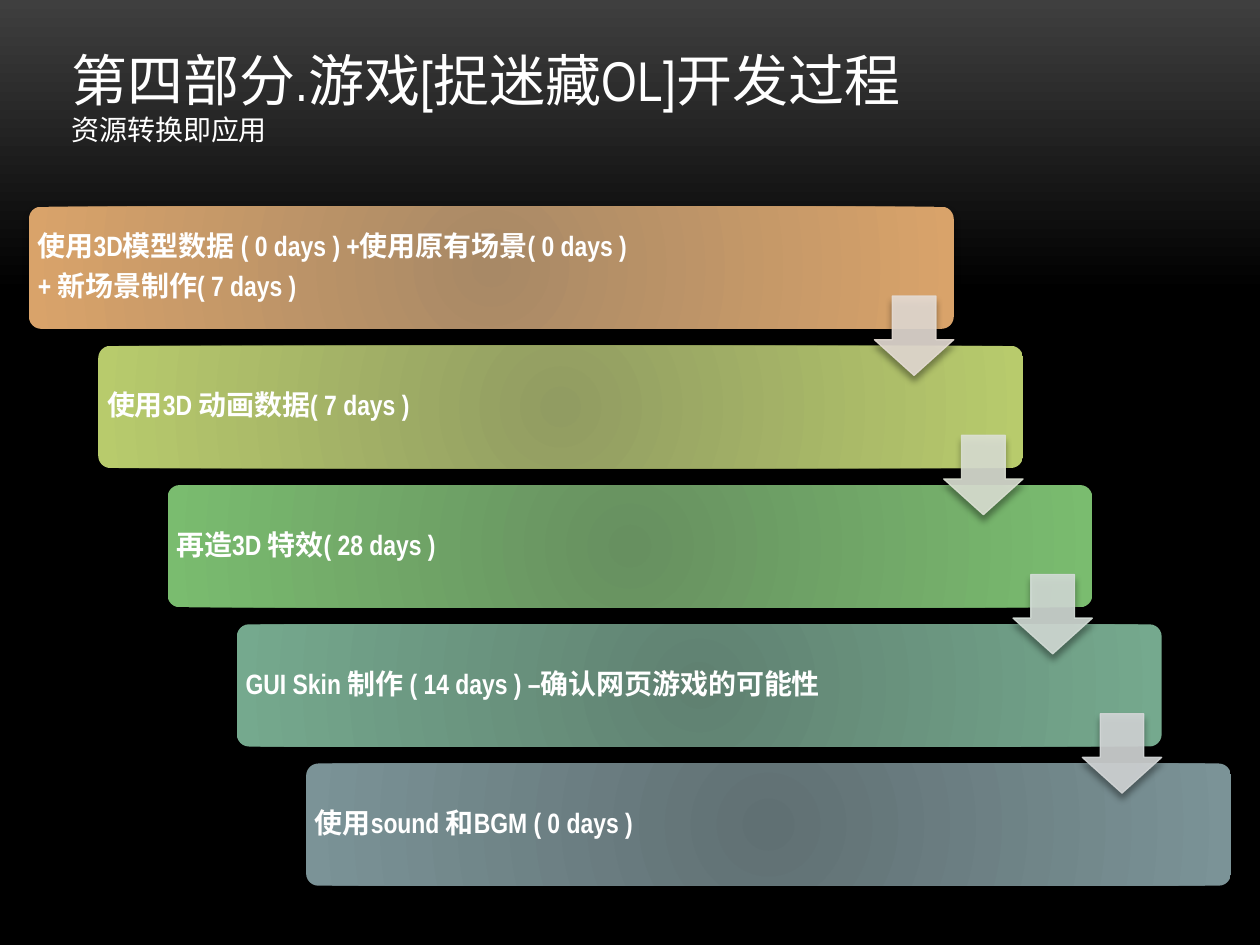
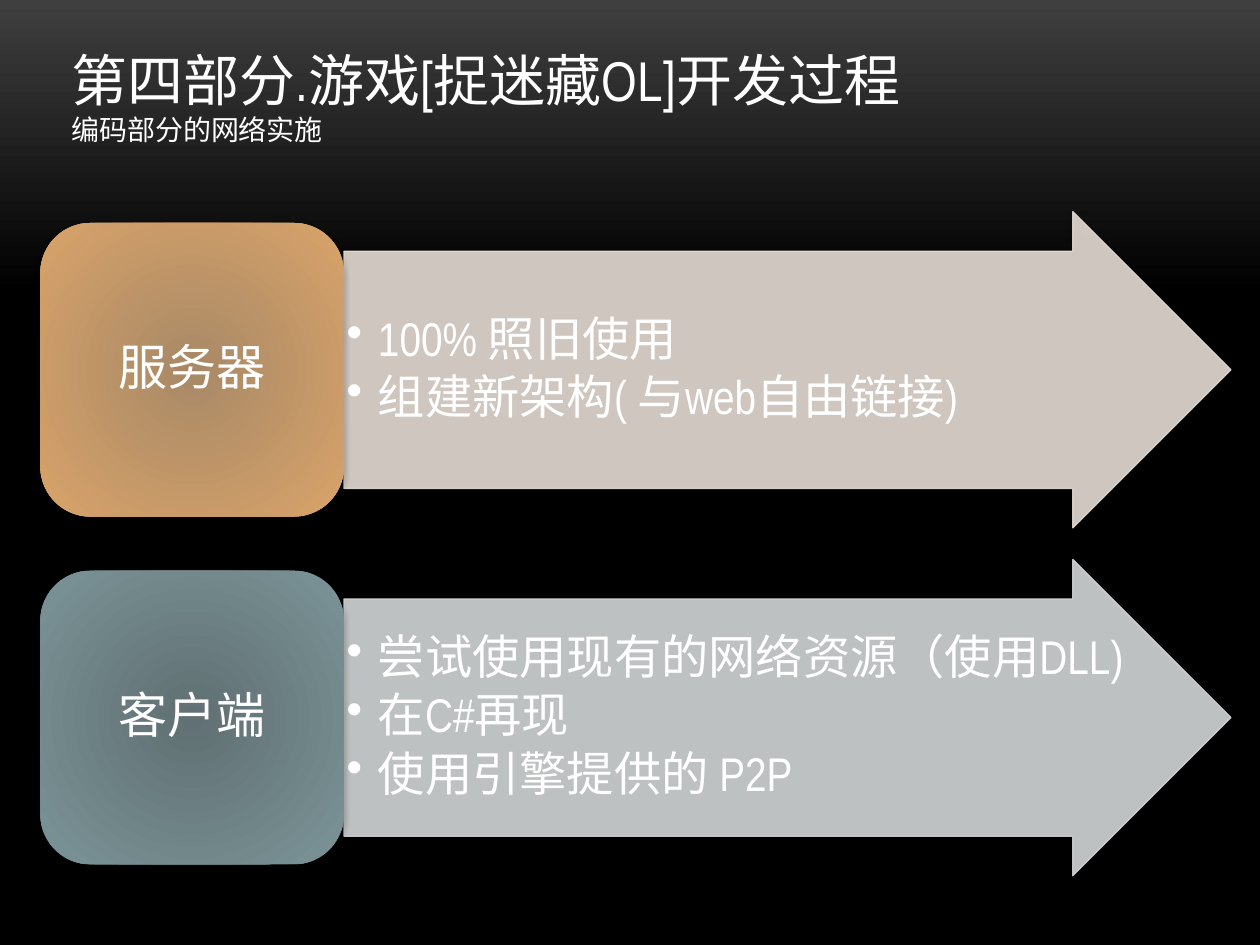
from collections import namedtuple
from dataclasses import dataclass
from itertools import cycle

from lxml.etree import SubElement as Sub
from pptx import Presentation
from pptx.dml.color import RGBColor as RGB
from pptx.enum.shapes import MSO_SHAPE as Kind
from pptx.enum.text import MSO_ANCHOR as Anchor, MSO_AUTO_SIZE as Auto, PP_ALIGN as Align
from pptx.oxml.ns import qn
from pptx.util import Inches, Pt

Box = namedtuple("Box", "x y w h")
Tone = namedtuple("Tone", "core edge pale")


@dataclass(frozen=True)
class Theme:
    """Colours, font and type sizes of the deck."""
    font: str = "Arial Narrow"
    ink: str = "FFFFFF"
    shade: str = "000000"
    back: tuple = ((0, "3F3F3F"), (31, "000000"), (100, "000000"))
    head: int = 32
    sub: int = 16
    step: int = 16
    label: int = 28
    point: int = 27
    orange: Tone = Tone("A88966", "D9A36A", "E5DCD4")
    lime: Tone = Tone("919C62", "B8CB6C", "DCE1D4")
    green: Tone = Tone("679060", "7ABC6F", "D3DCD6")
    teal: Tone = Tone("608171", "75A98E", "D3D6D7")
    slate: Tone = Tone("607073", "7B9397", "D3D6D7")


THEME = Theme()
TITLE = "第四部分.游戏[捉迷藏OL]开发过程"
STEPS = [
    (THEME.orange, ["使用3D模型数据 ( 0 days ) +使用原有场景( 0 days )", "+ 新场景制作( 7 days )"]),
    (THEME.lime, ["使用3D 动画数据( 7 days )"]),
    (THEME.green, ["再造3D 特效( 28 days )"]),
    (THEME.teal, ["GUI Skin 制作 ( 14 days ) –确认网页游戏的可能性"]),
    (THEME.slate, ["使用sound 和BGM ( 0 days )"]),
]
ROLES = [
    (THEME.orange, "服务器", ["100% 照旧使用", "组建新架构( 与web自由链接)"]),
    (THEME.slate, "客户端", ["尝试使用现有的网络资源（使用DLL)", "在C#再现", "使用引擎提供的 P2P"]),
]


def inch(box):
    """Turn a box into four lengths."""
    return [Inches(side) for side in box]


def blend(item, fill, stops, round_=False):
    """Fill a shape or background with a radial or downward gradient."""
    fill.gradient()
    grad = next(item.element.iter(qn("a:gradFill")))
    for child in list(grad):
        grad.remove(child)
    group = Sub(grad, qn("a:gsLst"))
    for place, tint in stops:
        stop = Sub(group, qn("a:gs"), pos=str(place * 1000))
        Sub(stop, qn("a:srgbClr"), val=tint)
    if round_:
        way = Sub(grad, qn("a:path"), path="circle")
        Sub(way, qn("a:fillToRect"), dict.fromkeys("ltrb", "100000"))
    else:
        Sub(grad, qn("a:lin"), ang="5400000", scaled="0")


def cast(shape, far):
    """Give a shape a soft shadow below it."""
    shape.shadow.inherit = False
    effects = shape.element.spPr.find(qn("a:effectLst"))
    drop = Sub(effects, qn("a:outerShdw"), blurRad=str(Pt(4)), dist=str(Pt(far)),
               dir="5400000", rotWithShape="0")
    tint = Sub(drop, qn("a:srgbClr"), val=THEME.shade)
    Sub(tint, qn("a:alpha"), val="40000")


def panel(slide, box, tone, bend):
    """Draw a rounded panel with a radial gradient."""
    shape = slide.shapes.add_shape(Kind.ROUNDED_RECTANGLE, *inch(box))
    shape.adjustments[0] = bend
    blend(shape, shape.fill, [(0, tone.core), (100, tone.edge)], round_=True)
    shape.line.fill.background()
    cast(shape, 2)


def arrow(slide, kind, box, tint, bends):
    """Draw a pale, slightly clear block arrow."""
    shape = slide.shapes.add_shape(kind, *inch(box))
    for spot, bend in enumerate(bends):
        shape.adjustments[spot] = bend
    shape.fill.solid()
    shape.fill.fore_color.rgb = shape.line.color.rgb = RGB.from_string(tint)
    shape.line.width = Pt(0.75)
    for paint in shape.element.spPr.iter(qn("a:srgbClr")):
        Sub(paint, qn("a:alpha"), val="90000")
    cast(shape, 3.4)


def write(slide, box, lines, sizes, bold=False, align=Align.LEFT, anchor=Anchor.MIDDLE,
          pad=(0.1, 0.05), lead=0.9, after=0, dot=False, grow=False):
    """Place lines of text, cycling through the given sizes."""
    frame = slide.shapes.add_textbox(*inch(box)).text_frame
    frame.word_wrap = True
    frame.auto_size = Auto.SHAPE_TO_FIT_TEXT if grow else Auto.NONE
    frame.vertical_anchor = anchor
    frame.margin_left = frame.margin_right = Inches(pad[0])
    frame.margin_top = frame.margin_bottom = Inches(pad[1])
    for spot, (line, size) in enumerate(zip(lines, cycle(sizes))):
        para = frame.add_paragraph() if spot else frame.paragraphs[0]
        para.alignment = align
        para.line_spacing = lead
        para.space_after = Pt(size * after)
        if dot:
            props = para._p.get_or_add_pPr()
            props.set("marL", str(Inches(0.25)))
            props.set("indent", str(Inches(-0.25)))
            Sub(props, qn("a:buChar"), char="•")
        run = para.add_run()
        run.text = line
        run.font.name, run.font.size, run.font.bold = THEME.font, Pt(size), bold
        run.font.color.rgb = RGB.from_string(THEME.ink)


def start(deck, sub):
    """Add a slide with the shared background and title."""
    slide = deck.slides.add_slide(deck.slide_layouts[6])
    blend(slide, slide.background.fill, THEME.back)
    write(slide, Box(0.47, 0.31, 8.98, 0.91), [TITLE, sub], (THEME.head, THEME.sub),
          anchor=Anchor.TOP, lead=1.0, grow=True)
    return slide


def stairs(slide, box, steps):
    """Set steps corner to corner in the box, joined by arrows."""
    wide, high, tip = 7.34, 0.97, 0.63
    gaps = len(steps) - 1
    spots = [Box(box.x + spot * (box.w - wide) / gaps,
                 box.y + spot * (box.h - high) / gaps, wide, high)
             for spot in range(len(steps))]
    for spot, (tone, lines) in zip(spots, steps):
        panel(slide, spot, tone, 0.1)
        write(slide, spot._replace(w=6.2), lines, [THEME.step], bold=True,
              pad=(0.07, 0.07), after=0.35)
    for spot, (tone, _) in zip(spots[:-1], steps):
        place = Box(spot.x + wide - tip, spot.y + 0.71, tip, tip)
        arrow(slide, Kind.DOWN_ARROW, place, tone.pale, (0.55, 0.45))


def role(slide, box, tone, name, points):
    """Draw a named tile with an arrow of points beside it."""
    wide, inset = 2.41, 0.09
    tile = Box(box.x, box.y + inset, wide, box.h - 2 * inset)
    body = Box(box.x + wide, box.y, box.w - wide, box.h)
    arrow(slide, Kind.RIGHT_ARROW, body, tone.pale, (0.75, 0.5))
    write(slide, body, points, [THEME.point], pad=(0.02, 0.02), after=0.15, dot=True)
    panel(slide, tile, tone, 0.17)
    write(slide, tile, [name], [THEME.label], align=Align.CENTER,
          pad=(0.12, 0.06), after=0.35)


def main():
    """Build and save both slides."""
    deck = Presentation()
    deck.slide_width, deck.slide_height = Inches(10), Inches(7.5)
    stairs(start(deck, "资源转换即应用"), Box(0.23, 1.64, 9.54, 5.39), STEPS)
    slide = start(deck, "编码部分的网络实施")
    for spot, row in enumerate(ROLES):
        role(slide, Box(0.32, 1.68 + spot * 2.76, 9.45, 2.51), *row)
    deck.save("out.pptx")


if __name__ == "__main__":
    main()
